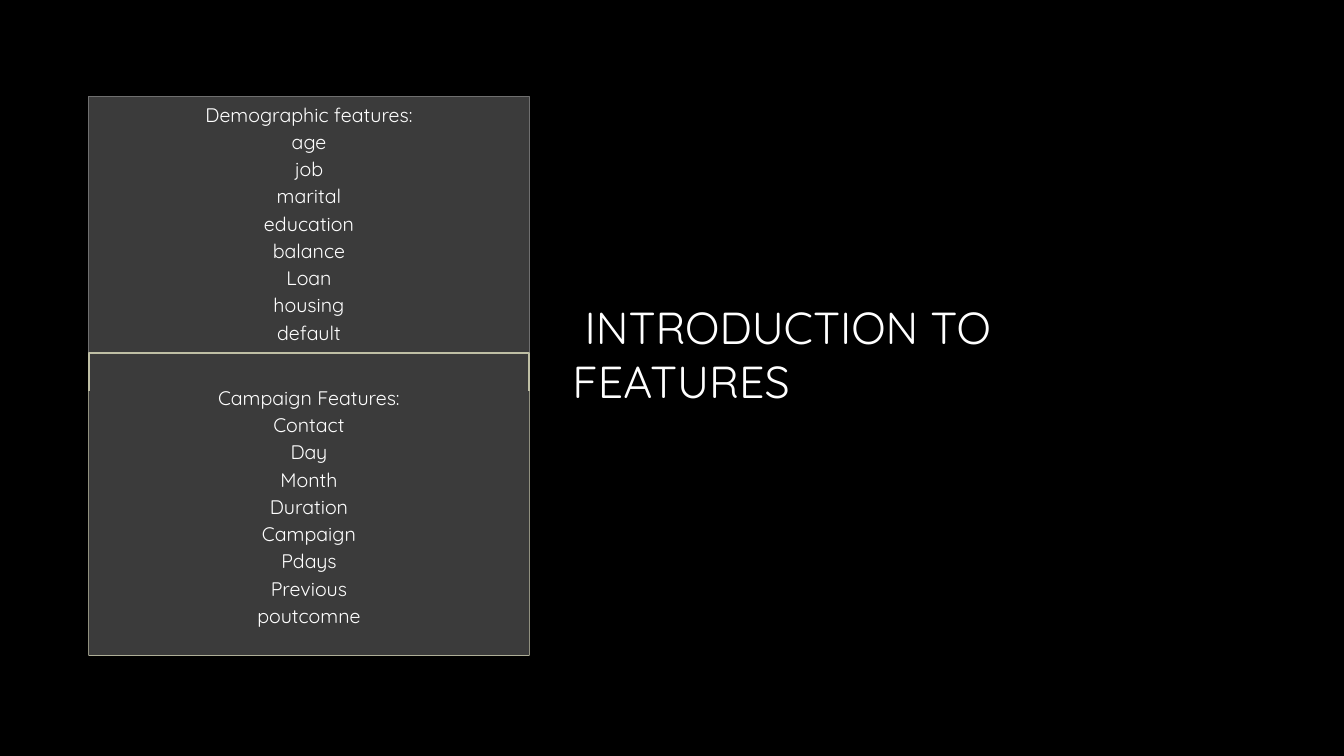
from lxml.etree import SubElement
from pptx import Presentation
from pptx.dml.color import RGBColor
from pptx.enum.shapes import MSO_SHAPE
from pptx.enum.text import MSO_ANCHOR, PP_ALIGN
from pptx.oxml.ns import qn
from pptx.util import Inches, Pt

BLACK = RGBColor(0x00, 0x00, 0x00)
WHITE = RGBColor(0xFF, 0xFF, 0xFF)
PANEL = RGBColor(0x3B, 0x3B, 0x3B)
GRAY = RGBColor(0x6F, 0x6F, 0x6F)
SAND = RGBColor(0xBF, 0xBF, 0xA5)
FONT = "Quicksand"
LEFT, WIDTH = 0.88, 4.37

PEOPLE = ["Demographic features:", "age", "job", "marital", "education",
          "balance", "Loan", "housing", "default"]
CALLS = ["Campaign Features:", "Contact", "Day", "Month", "Duration",
         "Campaign", "Pdays", "Previous", "poutcomne"]


def style(run, size):
    """White text with a soft shadow."""
    run.font.name = FONT
    run.font.size = Pt(size)
    run.font.color.rgb = WHITE
    props = run.font._element
    effects = SubElement(props, qn("a:effectLst"))
    shadow = SubElement(effects, qn("a:outerShdw"), blurRad="38100",
                        dist="25400", dir="2700000")
    color = SubElement(shadow, qn("a:srgbClr"), val="000000")
    SubElement(color, qn("a:alpha"), val="43000")
    # Effects come right after the fill
    props.find(qn("a:solidFill")).addnext(effects)


def add_box(slide, top, height, fill, line=None, weight=1.5):
    box = slide.shapes.add_shape(MSO_SHAPE.RECTANGLE, Inches(LEFT), Inches(top),
                                 Inches(WIDTH), Inches(height))
    box.shadow.inherit = False
    box.fill.solid()
    box.fill.fore_color.rgb = fill
    if line is None:
        box.line.fill.background()
    else:
        box.line.color.rgb = line
        box.line.width = Pt(weight)
    return box


def add_list(box, items, bottom=0):
    frame = box.text_frame
    frame.word_wrap = True
    frame.vertical_anchor = MSO_ANCHOR.MIDDLE
    frame.margin_left = frame.margin_right = Inches(0.05)
    frame.margin_top, frame.margin_bottom = Inches(0), Inches(bottom)
    frame.text = "\n".join(items)
    for para in frame.paragraphs:
        para.alignment = PP_ALIGN.CENTER
        para.line_spacing = 0.9
        para.space_after = Pt(4.35)
        style(para.runs[0], 14)


def add_title(slide, text):
    box = slide.shapes.add_textbox(Inches(5.58), Inches(0.67),
                                   Inches(6.5), Inches(5.67))
    frame = box.text_frame
    frame.word_wrap = True
    frame.vertical_anchor = MSO_ANCHOR.MIDDLE
    frame.text = text
    style(frame.paragraphs[0].runs[0], 32)


def main():
    deck = Presentation()
    deck.slide_width, deck.slide_height = Inches(13.33), Inches(7.5)
    slide = deck.slides.add_slide(deck.slide_layouts[6])
    slide.background.fill.solid()
    slide.background.fill.fore_color.rgb = BLACK

    # Title
    add_title(slide, " INTRODUCTION TO FEATURES")

    # Demographic panel
    add_box(slide, 1.29, 2.21, BLACK, SAND)
    add_list(add_box(slide, 0.96, 2.54, PANEL, GRAY, 0.75), PEOPLE)

    # Campaign panel
    add_box(slide, 3.5, 3, PANEL, SAND)
    add_list(add_box(slide, 3.88, 2.62, PANEL), CALLS, bottom=0.3)

    deck.save("out.pptx")


if __name__ == "__main__":
    main()
